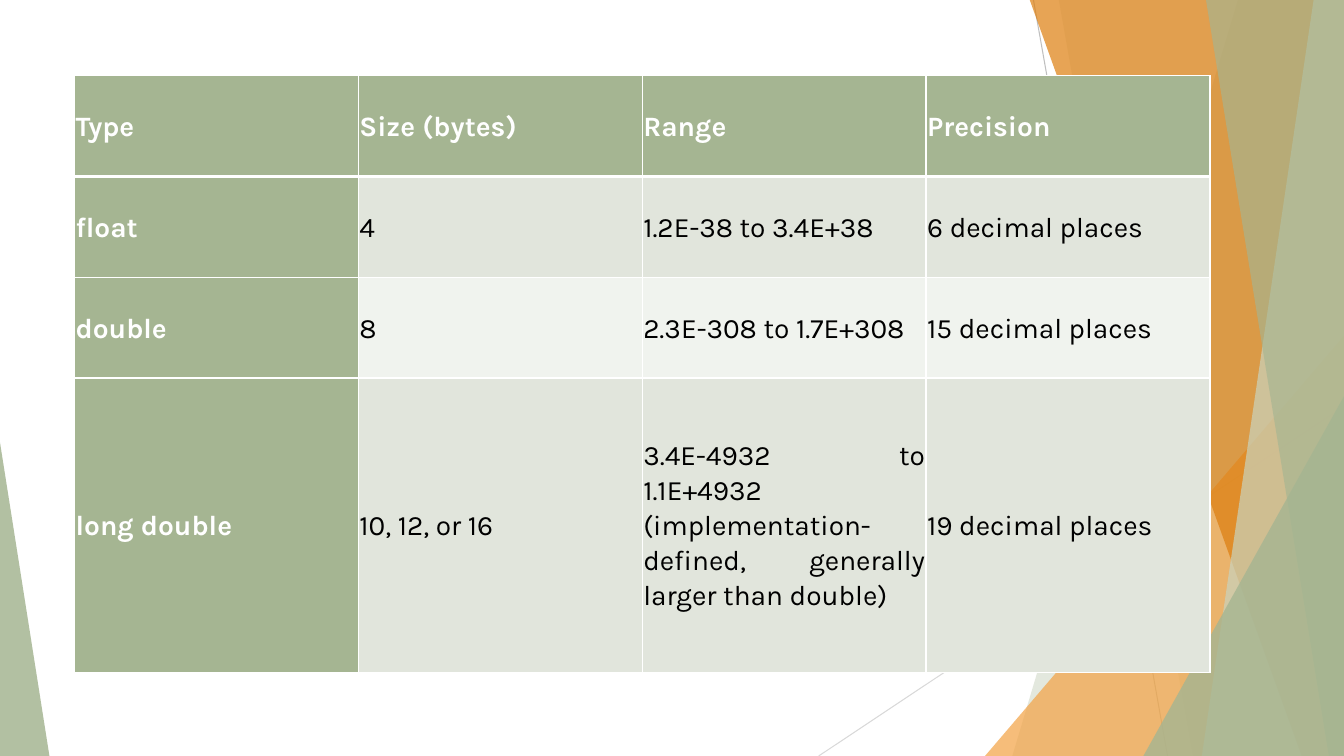
import pptx
import pptx.dml.color
import pptx.enum.shapes
import pptx.enum.text
import pptx.oxml
import pptx.oxml.ns
import pptx.util
from dataclasses import dataclass
from lxml import etree

Inches = pptx.util.Inches

ROWS = [
    ("Type", "Size (bytes)", "Range", "Precision"),
    ("float", "4", "1.2E-38 to 3.4E+38", "6 decimal places"),
    ("double", "8", "2.3E-308 to 1.7E+308", "15 decimal places"),
    (
        "long double",
        "10, 12, or 16",
        "3.4E-4932 to 1.1E+4932 (implementation-defined, generally larger than double)",
        "19 decimal places",
    ),
]


@dataclass(frozen=True)
class Theme:
    font: str = "Karla"
    text_size: int = 20
    white: str = "FFFFFF"
    black: str = "000000"
    green: str = "A5B592"
    light_green: str = "C9D3BE"
    orange: str = "F3A447"
    dark_orange: str = "DD7E0E"
    band_odd: str = "E1E5DC"
    band_even: str = "F0F3EE"


THEME = Theme()
SLIDE_WIDTH, SLIDE_HEIGHT = 13.33, 7.5
BAND_TOP = -0.01
TABLE_LEFT, TABLE_TOP = 0.74, 0.75
COLUMN_WIDTH = 2.815
ROW_HEIGHTS = (1, 1, 1, 2.92)
CELL_MARGIN = 0.01
RULE_WIDTH, HEADER_RULE_WIDTH = 1, 3

# start, end, colour
THIN_LINES = [
    ((10.25, 0), (11.58, SLIDE_HEIGHT), "BFBFBF"),
    ((SLIDE_WIDTH, 4.03), (8.12, SLIDE_HEIGHT), "D9D9D9"),
]
# From back to front. Band: left edge at top and bottom, colour, opacity.
# Triangle: left, width, height, apex position, colour, opacity.
DECORATIONS = [
    ("band", 12.28, 10.04, THEME.green, 30),
    ("band", 10.5, 11.83, THEME.green, 20),
    ("triangle", 9.77, 3.56, 4.17, 1, THEME.orange, 72),
    ("band", 10.21, 12.91, THEME.dark_orange, 70),
    ("band", 13.03, 11.92, THEME.light_green, 70),
    ("band", 11.96, 13.18, THEME.green, 65),
    ("triangle", 11.34, 1.99, 3.57, 1, THEME.green, 80),
    ("triangle", 0, 0.49, 3.11, 0, THEME.green, 85),
]


def rgb(colour):
    return pptx.dml.color.RGBColor.from_string(colour)


def add_thin_line(slide, start, end, colour):
    line = slide.shapes.add_connector(
        pptx.enum.shapes.MSO_CONNECTOR.STRAIGHT,
        *(Inches(value) for value in (*start, *end)),
    )
    line.line.color.rgb = rgb(colour)
    line.line.width = pptx.util.Pt(0.75)
    etree.SubElement(line._element.spPr, pptx.oxml.ns.qn("a:effectLst"))


def paint(shape, colour, opacity):
    shape.shadow.inherit = False
    shape.line.fill.background()
    shape.fill.solid()
    shape.fill.fore_color.rgb = rgb(colour)
    colour_element = shape._element.spPr.find(".//" + pptx.oxml.ns.qn("a:srgbClr"))
    alpha = etree.SubElement(colour_element, pptx.oxml.ns.qn("a:alpha"))
    alpha.set("val", str(opacity * 1000))


def add_band(slide, top_left, bottom_left, colour, opacity):
    """Fill from a slanted left edge to the right edge of the slide."""
    corners = [
        (SLIDE_WIDTH, BAND_TOP),
        (SLIDE_WIDTH, SLIDE_HEIGHT),
        (bottom_left, SLIDE_HEIGHT),
    ]
    builder = slide.shapes.build_freeform(Inches(top_left), Inches(BAND_TOP))
    builder.add_line_segments([(Inches(x), Inches(y)) for x, y in corners], close=True)
    paint(builder.convert_to_shape(), colour, opacity)


def add_triangle(slide, left, width, height, apex, colour, opacity):
    """Stand a triangle on the bottom edge of the slide."""
    triangle = slide.shapes.add_shape(
        pptx.enum.shapes.MSO_SHAPE.ISOSCELES_TRIANGLE,
        Inches(left),
        Inches(SLIDE_HEIGHT - height),
        Inches(width),
        Inches(height),
    )
    triangle.adjustments[0] = apex
    paint(triangle, colour, opacity)


def set_borders(cell, top_width, bottom_width):
    properties = cell._tc.get_or_add_tcPr()
    widths = {"lnL": RULE_WIDTH, "lnR": RULE_WIDTH, "lnT": top_width, "lnB": bottom_width}
    for side, width in widths.items():
        properties.append(pptx.oxml.parse_xml(
            f'<a:{side} {pptx.oxml.ns.nsdecls("a")} w="{pptx.util.Pt(width)}">'
            f'<a:solidFill><a:srgbClr val="{THEME.white}"/></a:solidFill></a:{side}>'
        ))


def fill_cell(cell, text, row, column):
    is_heading = row == 0 or column == 0
    band = THEME.band_odd if row % 2 else THEME.band_even
    set_borders(
        cell,
        HEADER_RULE_WIDTH if row == 1 else RULE_WIDTH,
        HEADER_RULE_WIDTH if row == 0 else RULE_WIDTH,
    )
    cell.fill.solid()
    cell.fill.fore_color.rgb = rgb(THEME.green if is_heading else band)
    cell.vertical_anchor = pptx.enum.text.MSO_ANCHOR.MIDDLE
    cell.margin_left = cell.margin_right = Inches(CELL_MARGIN)
    cell.margin_top = cell.margin_bottom = Inches(CELL_MARGIN)

    paragraph = cell.text_frame.paragraphs[0]
    paragraph.alignment = pptx.enum.text.PP_ALIGN.JUSTIFY
    paragraph.line_spacing = 1.07
    paragraph.space_after = pptx.util.Pt(8)
    run = paragraph.add_run()
    run.text = text
    run.font.name = THEME.font
    run.font.size = pptx.util.Pt(THEME.text_size)
    run.font.bold = is_heading
    run.font.color.rgb = rgb(THEME.white if is_heading else THEME.black)


def add_type_table(slide):
    table = slide.shapes.add_table(
        len(ROWS),
        len(ROWS[0]),
        Inches(TABLE_LEFT),
        Inches(TABLE_TOP),
        Inches(COLUMN_WIDTH * len(ROWS[0])),
        Inches(sum(ROW_HEIGHTS)),
    ).table
    table.first_col = True
    for column in table.columns:
        column.width = Inches(COLUMN_WIDTH)
    for row, height in zip(table.rows, ROW_HEIGHTS):
        row.height = Inches(height)
    for row, texts in enumerate(ROWS):
        for column, text in enumerate(texts):
            fill_cell(table.cell(row, column), text, row, column)


def main():
    presentation = pptx.Presentation()
    presentation.slide_width = Inches(SLIDE_WIDTH)
    presentation.slide_height = Inches(SLIDE_HEIGHT)
    slide = presentation.slides.add_slide(presentation.slide_layouts[6])
    for start, end, colour in THIN_LINES:
        add_thin_line(slide, start, end, colour)
    draw = {"band": add_band, "triangle": add_triangle}
    for kind, *details in DECORATIONS:
        draw[kind](slide, *details)
    add_type_table(slide)
    presentation.save("out.pptx")


if __name__ == "__main__":
    main()
